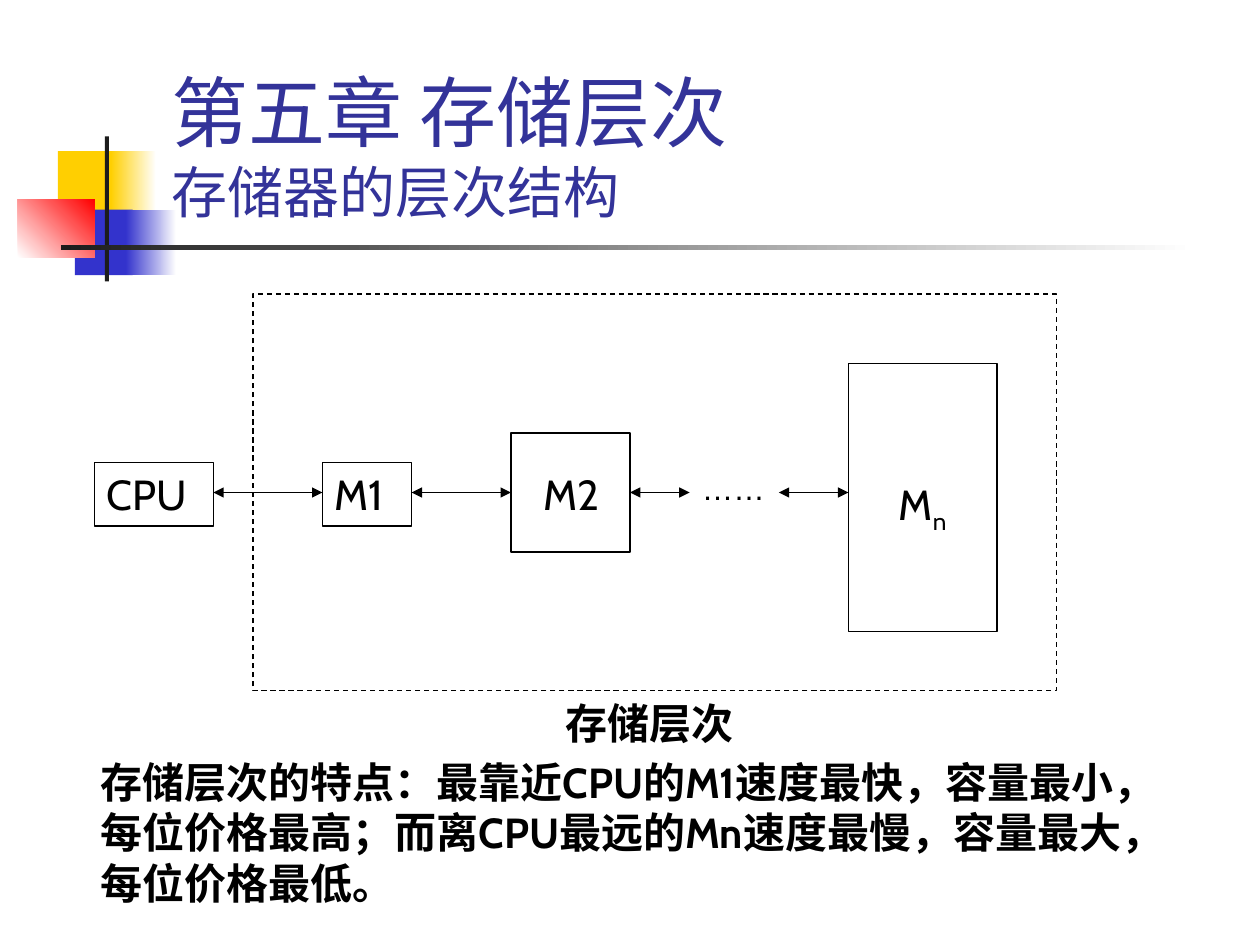
"""Build the memory hierarchy slide on a grid of 2 mm cells."""
from lxml import etree
from pptx import Presentation
from pptx import util as u
from pptx.dml.color import RGBColor
from pptx.enum import dml, shapes, text
from pptx.oxml.ns import qn

CELL = u.Mm(2)
HUE = {"gold": "FFCF01", "blue": "3333CC", "red": "FF0000", "dark": "1C1C1C",
       "white": "FFFFFF", "title": "333399", "ink": "000000"}
DECOR = [
    ((5.84, 15.24, 6.1, 6.6), ["gold"], 0),
    ((11.18, 15.24, 4.57, 6.6), ["gold", "white"], 0),
    ((7.54, 21.13, 5.84, 6.6), ["blue"], 0),
    ((12.7, 21.13, 5.08, 6.6), ["blue", "white"], 0),
    ((1.8, 20.1, 7.75, 5.84), ["white", "red"], 45),
    ((10.58, 13.76, 0.4, 14.6), ["dark"], 0),
    ((6.16, 24.74, 114.3, 0.42), ["dark", "white"], 0),
]
TITLE = [("第五章 存储层次", 44), ("存储器的层次结构", 32)]
BOXES = {"CPU": (9.5, 46.64, 12, 6.4), "M1": (32.5, 46.64, 9, 6.4),
         "M2": (51.5, 43.65, 12, 12), "Mn": (85.5, 36.64, 15, 27)}
FRAME = (25.5, 29.64, 81, 40)
DOTS = (69.5, 46.64, 9, 5.1)
MID = 49.64
LABELS = [
    ("CPU", BOXES["CPU"], {}),
    ("M1", BOXES["M1"], {}),
    ("M2", (53.5, 46.64, 10, 6.4), {}),
    ("……", DOTS, {"size": 18, "face": "Arial"}),
    ("Mn", (85.5, 47.6, 15, 7.1), {"mid": True, "sub": True}),
    ("存储层次", (34.5, 69.64, 62, 6.4), {"mid": True, "bold": True}),
    ("存储层次的特点：最靠近CPU的M1速度最快，容量最小，每位价格最高；"
     "而离CPU最远的Mn速度最慢，容量最大，每位价格最低。",
     (8.9, 75.6, 111.1, 16.5), {"bold": True}),
]


def tint(name):
    return RGBColor.from_string(HUE[name])


def place(spot):
    return [round(n * CELL) for n in spot]


def block(slide, spot):
    shape = slide.shapes.add_shape(shapes.MSO_SHAPE.RECTANGLE, *place(spot))
    shape.shadow.inherit = False
    return shape


def decor(slide, spot, hues, angle):
    shape = block(slide, spot)
    shape.line.fill.background()
    if len(hues) == 1:
        shape.fill.solid()
        shape.fill.fore_color.rgb = tint(hues[0])
        return
    shape.fill.gradient()
    shape.fill.gradient_angle = angle
    for stop, hue in zip(shape.fill.gradient_stops, hues):
        stop.color.rgb = tint(hue)


def outline(slide, spot, dash=None):
    shape = block(slide, spot)
    shape.fill.background()
    shape.line.color.rgb = tint("ink")
    shape.line.width = u.Pt(0.75)
    shape.line.dash_style = dash


def style(run, size, hue="ink", face="Cabin", bold=False):
    run.font.size = u.Pt(size)
    run.font.name = face
    run.font.bold = bold
    run.font.color.rgb = tint(hue)


def write(slide, spot, words):
    frame = slide.shapes.add_textbox(*place(spot)).text_frame
    frame.word_wrap = True
    frame.text = words
    frame.paragraphs[0]._p.get_or_add_pPr().set("hangingPunct", "0")
    return frame


def label(slide, words, spot, size=24, face="Cabin", mid=False, bold=False, sub=False):
    para = write(slide, spot, words[:-1] if sub else words).paragraphs[0]
    if mid:
        para.alignment = text.PP_ALIGN.CENTER
    if sub:
        para.add_run().text = words[-1]
    for run in para.runs:
        style(run, size, face=face, bold=bold)
    if sub:
        para.runs[-1].font._element.set("baseline", "-25000")


def arrow(slide, start, end):
    ends = place((start, MID, end, MID))
    line = slide.shapes.add_connector(shapes.MSO_CONNECTOR.STRAIGHT, *ends)
    line.line.color.rgb = tint("ink")
    line.line.width = u.Pt(0.75)
    stroke = line.line._get_or_add_ln()
    for tag in ("a:headEnd", "a:tailEnd"):
        etree.SubElement(stroke, qn(tag), type="triangle")
    etree.SubElement(line._element.spPr, qn("a:effectLst"))


def main():
    deck = Presentation()
    deck.slide_width, deck.slide_height = u.Inches(10), u.Inches(7.5)
    slide = deck.slides.add_slide(deck.slide_layouts[6])
    for item in DECOR:
        decor(slide, *item)

    head = write(slide, (16, 2.96, 108.2, 20.3), "\v".join(t for t, _ in TITLE))
    head.vertical_anchor = text.MSO_ANCHOR.BOTTOM
    for run, (_, size) in zip(head.paragraphs[0].runs, TITLE):
        style(run, size, "title")

    for spot in BOXES.values():
        outline(slide, spot)
    outline(slide, FRAME, dml.MSO_LINE.DASH)
    chain = [BOXES["CPU"], BOXES["M1"], BOXES["M2"], DOTS, BOXES["Mn"]]
    for left, right in zip(chain, chain[1:]):
        arrow(slide, left[0] + left[2], right[0])
    for words, spot, look in LABELS:
        label(slide, words, spot, **look)
    deck.save("out.pptx")


if __name__ == "__main__":
    main()
